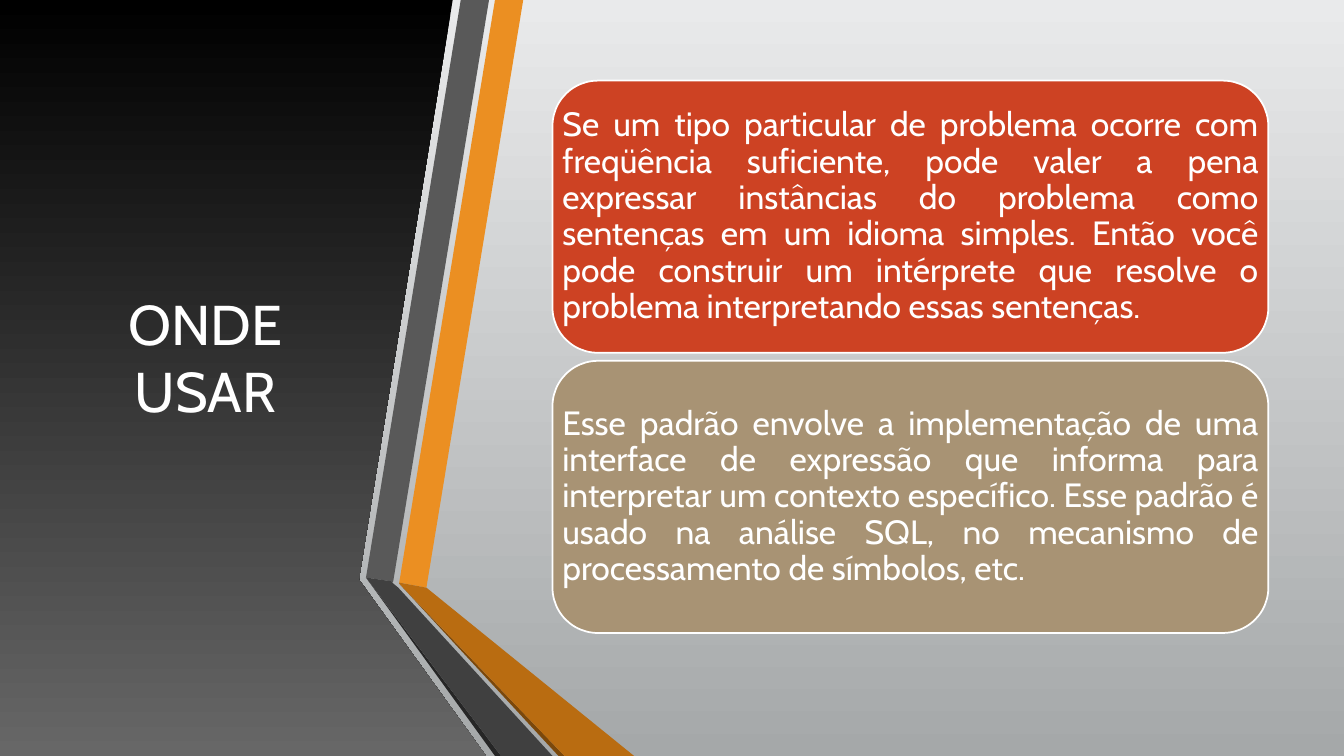
from pptx import Presentation
from pptx.dml.color import RGBColor
from pptx.enum.shapes import MSO_SHAPE as Preset
from pptx.enum.text import MSO_ANCHOR as Anchor, PP_ALIGN as Align
from pptx.util import Inches, Pt

WHITE = RGBColor(0xFF, 0xFF, 0xFF)
BLACK = RGBColor(0x00, 0x00, 0x00)
PANEL_GREY = RGBColor(0x67, 0x67, 0x67)
PALE_GREY = RGBColor(0xE9, 0xEA, 0xEB)
MID_GREY = RGBColor(0xA5, 0xA8, 0xA9)
ORANGE = RGBColor(0xEB, 0x8F, 0x22)
DARK_ORANGE = RGBColor(0xB9, 0x6C, 0x11)
BROWN = RGBColor(0x7B, 0x48, 0x0B)
STRIPE_GREY = RGBColor(0x59, 0x59, 0x59)
FOLD_GREY = RGBColor(0x40, 0x40, 0x40)
SHADE_GREY = RGBColor(0x26, 0x26, 0x26)
RED = RGBColor(0xCD, 0x42, 0x23)
TAN = RGBColor(0xA8, 0x93, 0x74)

WIDTH, HEIGHT = 13.33, 7.5
CARD_LEFT, CARD_TOP, CARD_WIDTH, CARD_HEIGHT, CARD_STEP = 5.48, 0.8, 7.1, 2.7, 2.78

PANEL = [(0, 0), (4.49, 0), (3.56, 5.75), (4.82, 7.5), (0, 7.5)]
RIBBONS = [
    (ORANGE, [(3.96, 5.78), (4.23, 5.83), (5.19, 0), (4.91, 0)]),
    (STRIPE_GREY, [(4.85, 0), (4.57, 0), (3.63, 5.73), (3.9, 5.77)]),
    (SHADE_GREY, [(3.63, 5.73), (4.91, 7.5), (4.97, 7.5)]),
    (BROWN, [(3.96, 5.79), (5.54, 7.5), (5.6, 7.5)]),
    (DARK_ORANGE, [(3.96, 5.79), (5.6, 7.5), (6.29, 7.5), (4.23, 5.83), (3.96, 5.78)]),
    (FOLD_GREY, [(5.48, 7.5), (3.95, 5.83), (3.89, 5.78), (3.9, 5.77),
                 (3.63, 5.73), (4.97, 7.5)]),
]
CARDS = [
    (RED, "Se um tipo particular de problema ocorre com freqüência suficiente, "
          "pode valer a pena expressar instâncias do problema como sentenças em um "
          "idioma simples. Então você pode construir um intérprete que resolve o "
          "problema interpretando essas sentenças."),
    (TAN, "Esse padrão envolve a implementação de uma interface de expressão que "
          "informa para interpretar um contexto específico. Esse padrão é usado na "
          "análise SQL, no mecanismo de processamento de símbolos, etc."),
]


class SlideBuilder:
    """Draws styled elements on the current slide."""

    font = "Cabin"
    text_color = WHITE

    def __init__(self, slide):
        self.slide = slide

    def paint(self, fill, *colors):
        if len(colors) == 1:
            fill.solid()
            fill.fore_color.rgb = colors[0]
            return
        fill.gradient()
        fill.gradient_angle = 270
        for stop, color in zip(fill.gradient_stops, colors):
            stop.color.rgb = color

    def background(self, *colors):
        self.paint(self.slide.background.fill, *colors)
        self.box(Preset.RECTANGLE, (0, 0, WIDTH, HEIGHT), *colors)

    def box(self, preset, place, *colors, outline=None):
        shape = self.slide.shapes.add_shape(preset, *map(Inches, place))
        self.finish(shape, colors, outline)

    def polygon(self, points, *colors):
        corners = [(Inches(x), Inches(y)) for x, y in points]
        builder = self.slide.shapes.build_freeform(*corners[0])
        builder.add_line_segments(corners[1:], close=True)
        self.finish(builder.convert_to_shape(), colors)

    def finish(self, shape, colors, outline=None):
        shape.shadow.inherit = False
        self.paint(shape.fill, *colors)
        if outline is None:
            shape.line.fill.background()
        else:
            shape.line.color.rgb = outline
            shape.line.width = Pt(1.25)

    def text(self, place, words, size, align, inset=None, spacing=1.0, after=0):
        frame = self.slide.shapes.add_textbox(*map(Inches, place)).text_frame
        frame.word_wrap = True
        frame.vertical_anchor = Anchor.MIDDLE
        if inset is not None:
            frame.margin_left = frame.margin_right = Inches(inset)
            frame.margin_top = frame.margin_bottom = Inches(inset)
        paragraph = frame.paragraphs[0]
        paragraph.alignment = align
        paragraph.line_spacing = spacing
        paragraph.space_after = Pt(after)
        run = paragraph.add_run()
        run.text = words
        run.font.name = self.font
        run.font.size = Pt(size)
        run.font.color.rgb = self.text_color


def main():
    presentation = Presentation()
    presentation.slide_width = Inches(WIDTH)
    presentation.slide_height = Inches(HEIGHT)
    builder = SlideBuilder(presentation.slides.add_slide(presentation.slide_layouts[6]))

    builder.background(PALE_GREY, MID_GREY)
    builder.polygon(PANEL, BLACK, PANEL_GREY)
    builder.text((0.59, 0.75, 2.89, 5.58), "ONDE USAR", 40, Align.CENTER)
    for color, points in RIBBONS:
        builder.polygon(points, color)
    for index, (color, words) in enumerate(CARDS):
        place = (CARD_LEFT, CARD_TOP + index * CARD_STEP, CARD_WIDTH, CARD_HEIGHT)
        builder.box(Preset.ROUNDED_RECTANGLE, place, color, outline=WHITE)
        builder.text(place, words, 24, Align.JUSTIFY, inset=0.1, spacing=0.9, after=8.4)

    presentation.save("out.pptx")


if __name__ == "__main__":
    main()
